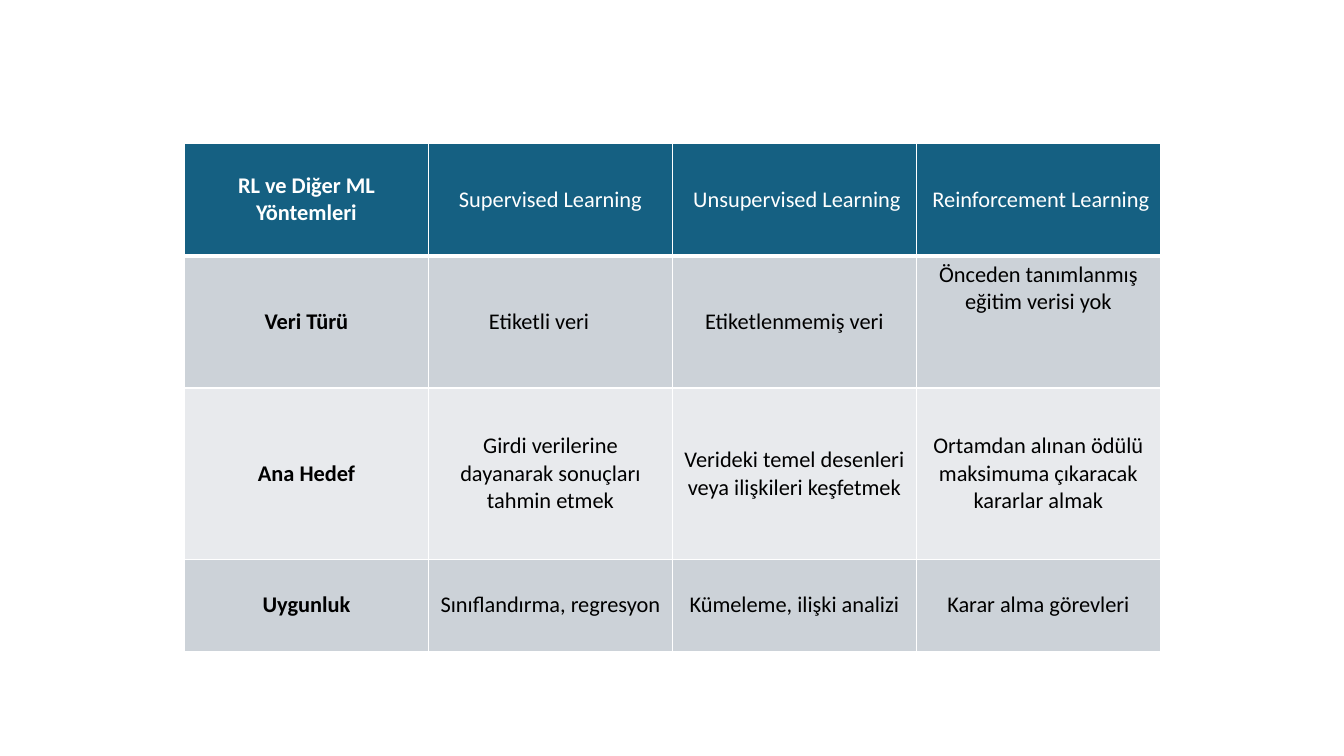
from dataclasses import dataclass

from lxml import etree
from pptx import Presentation
from pptx import util as u
from pptx.dml import color
from pptx.enum import text
from pptx.oxml import ns

WHITE, BLACK, BLUE = "FFFFFF", "000000", "156082"
DARK, LIGHT = "CCD2D8", "E8EAED"
LEFT, TOP, WIDTH = 1.83, 1.42, 2.42


@dataclass
class Entry:
    words: str
    bold: bool = False
    middle: bool = True
    indent: float = 0


@dataclass
class Row:
    height: float
    fill: str
    ink: str
    cells: list[Entry]
    above: float = 1
    below: float = 1


ROWS = [
    Row(1.12, BLUE, WHITE, [
        Entry("RL ve Diğer ML Yöntemleri", bold=True),
        Entry("Supervised Learning"),
        Entry(" Unsupervised Learning"),
        Entry(" Reinforcement Learning "),
    ], below=3),
    Row(1.31, DARK, BLACK, [
        Entry("Veri Türü", bold=True),
        Entry("Etiketli veri", indent=0.5),
        Entry("Etiketlenmemiş veri"),
        Entry("Önceden tanımlanmış eğitim verisi yok", middle=False),
    ], above=3),
    Row(1.7, LIGHT, BLACK, [
        Entry("Ana Hedef", bold=True),
        Entry("Girdi verilerine dayanarak sonuçları tahmin etmek"),
        Entry("Verideki temel desenleri veya ilişkileri keşfetmek"),
        Entry("Ortamdan alınan ödülü maksimuma çıkaracak kararlar almak"),
    ]),
    Row(0.91, DARK, BLACK, [
        Entry("Uygunluk", bold=True),
        Entry("Sınıflandırma, regresyon"),
        Entry("Kümeleme, ilişki analizi"),
        Entry("Karar alma görevleri"),
    ]),
]


def paint(fill, shade: str) -> None:
    fill.solid()
    fill.fore_color.rgb = color.RGBColor.from_string(shade)


def edge(cell, row: Row) -> None:
    props = cell._tc.get_or_add_tcPr()
    sides = {"lnL": 1, "lnR": 1, "lnT": row.above, "lnB": row.below}
    for side, points in sides.items():
        line = etree.SubElement(props, ns.qn(f"a:{side}"), w=str(u.Pt(points)))
        solid = etree.SubElement(line, ns.qn("a:solidFill"))
        etree.SubElement(solid, ns.qn("a:srgbClr"), val=WHITE)


def write(cell, entry: Entry, row: Row) -> None:
    edge(cell, row)
    paint(cell.fill, row.fill)
    anchor = text.MSO_ANCHOR
    cell.vertical_anchor = anchor.MIDDLE if entry.middle else anchor.TOP
    para = cell.text_frame.paragraphs[0]
    if entry.indent:
        para.level = 1
        para.alignment = text.PP_ALIGN.LEFT
        props = para._p.get_or_add_pPr()
        props.set("marL", str(u.Inches(entry.indent)))
        props.set("indent", "0")
    else:
        para.alignment = text.PP_ALIGN.CENTER
    run = para.add_run()
    run.text = entry.words
    run.font.name = "Calibri"
    run.font.size = u.Pt(16)
    run.font.bold = entry.bold
    paint(run.font.fill, row.ink)


def main() -> None:
    deck = Presentation()
    deck.slide_width, deck.slide_height = u.Inches(13.33), u.Inches(7.5)
    slide = deck.slides.add_slide(deck.slide_layouts[6])
    count = len(ROWS[0].cells)
    height = sum(row.height for row in ROWS)
    table = slide.shapes.add_table(
        len(ROWS), count, u.Inches(LEFT), u.Inches(TOP),
        u.Inches(WIDTH * count), u.Inches(height)).table
    for column in table.columns:
        column.width = u.Inches(WIDTH)
    for r, row in enumerate(ROWS):
        table.rows[r].height = u.Inches(row.height)
        for c, entry in enumerate(row.cells):
            write(table.cell(r, c), entry, row)
    deck.save("out.pptx")


if __name__ == "__main__":
    main()
